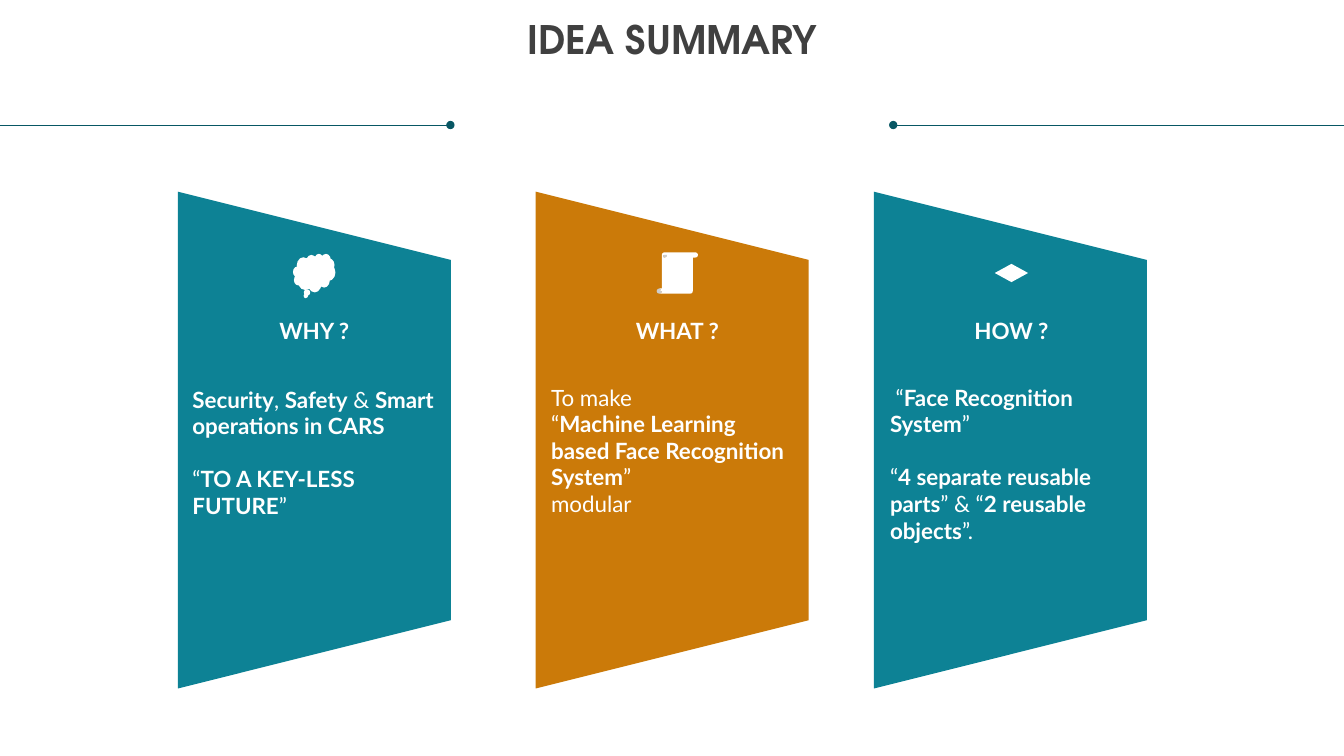
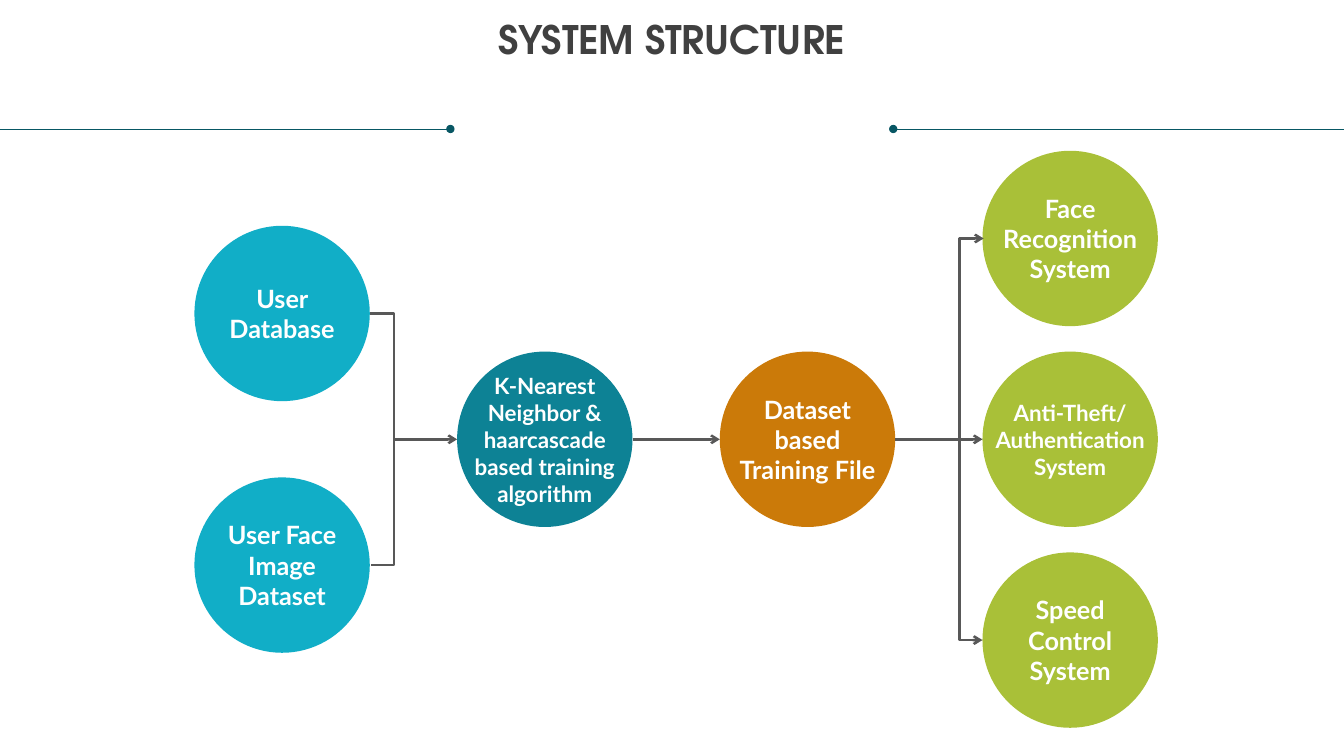
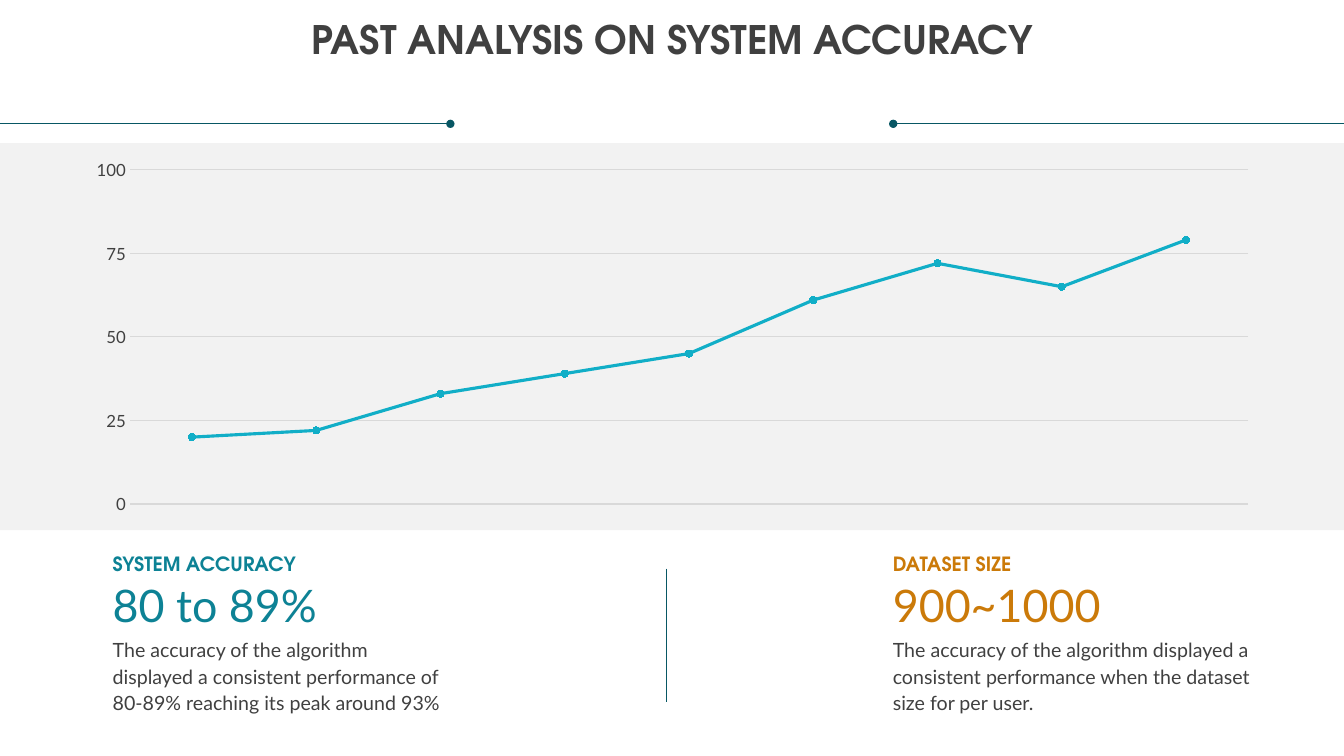
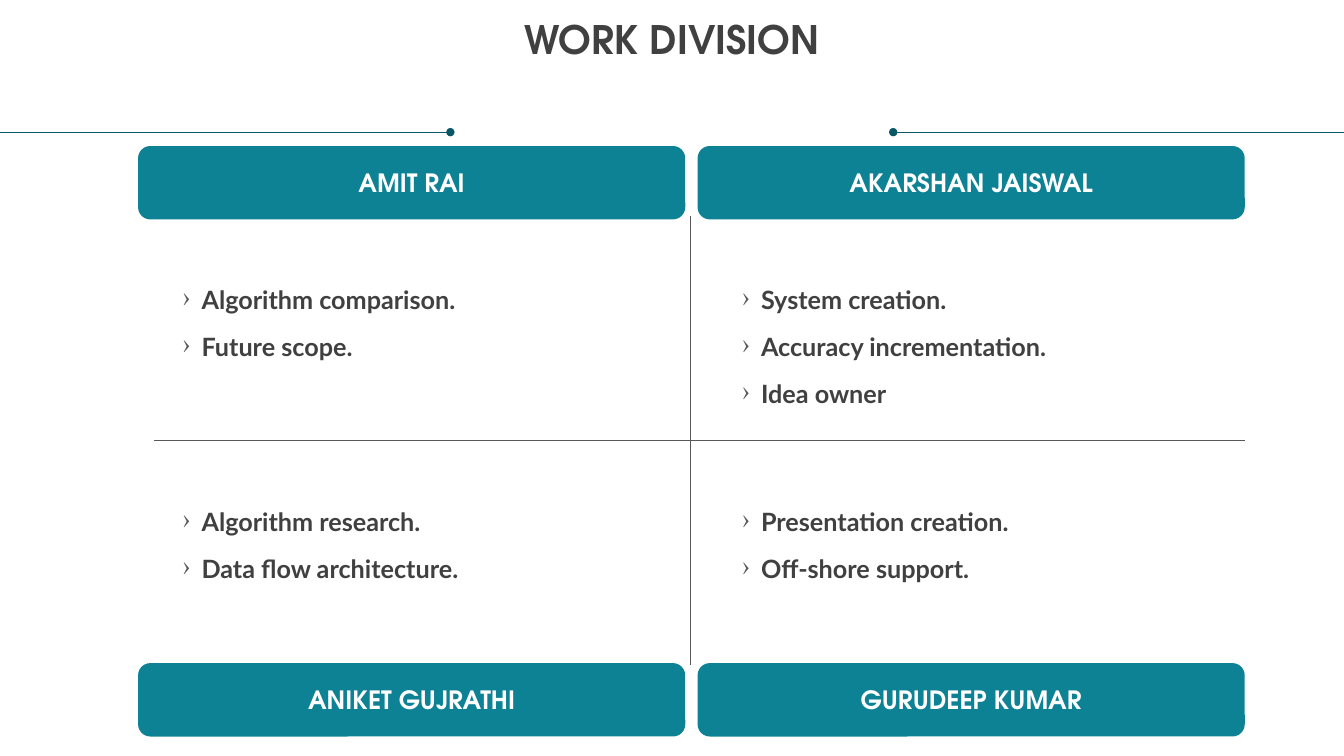
from lxml.etree import SubElement
from pptx import Presentation
from pptx.chart.data import CategoryChartData
from pptx.dml.color import RGBColor
from pptx.enum.chart import XL_CHART_TYPE, XL_MARKER_STYLE, XL_TICK_MARK
from pptx.enum.shapes import MSO_CONNECTOR, MSO_SHAPE
from pptx.enum.text import MSO_ANCHOR, MSO_AUTO_SIZE, PP_ALIGN
from pptx.oxml.ns import qn
from pptx.util import Cm, Pt

WHITE = RGBColor(0xFF, 0xFF, 0xFF)
INK = RGBColor(0x40, 0x40, 0x40)
GREY = RGBColor(0x58, 0x58, 0x58)
PALE = RGBColor(0xF2, 0xF2, 0xF2)
GRID = RGBColor(0xD9, 0xD9, 0xD9)
DARK_TEAL = RGBColor(0x08, 0x57, 0x64)
TEAL = RGBColor(0x0D, 0x82, 0x95)
CYAN = RGBColor(0x11, 0xAE, 0xC7)
ORANGE = RGBColor(0xCB, 0x7A, 0x09)
GREEN = RGBColor(0xA9, 0xC0, 0x38)

BODY = "Lato"
HEAD = "TeX Gyre Adventor"
WIDTH, HEIGHT = 33.87, 19.05


def write(tf, text, font=BODY, size=16, color=INK, bold=False, align=PP_ALIGN.LEFT,
          anchor=MSO_ANCHOR.TOP, spacing=None, before=0, bullet=None, margin=0):
    """Fill a text frame; each line is a paragraph and *stars* mark bold runs."""
    tf.word_wrap = True
    tf.auto_size = MSO_AUTO_SIZE.NONE
    tf.vertical_anchor = anchor
    tf.margin_left = tf.margin_right = tf.margin_top = tf.margin_bottom = Cm(margin)
    for i, line in enumerate(text.split("\n")):
        p = tf.add_paragraph() if i else tf.paragraphs[0]
        p.alignment = align
        if spacing:
            p.line_spacing = spacing
        p.space_before = Pt(before if i else 0)
        if bullet:
            pPr = p._p.get_or_add_pPr()
            pPr.set("marL", str(Cm(0.48)))
            pPr.set("indent", str(-Cm(0.48)))
            SubElement(SubElement(pPr, qn("a:buClr")), qn("a:srgbClr"), val=str(GREY))
            SubElement(pPr, qn("a:buChar"), char=bullet)
        for j, part in enumerate(line.split("*")):
            if part:
                r = p.add_run()
                r.text = part
                r.font.name = font
                r.font.size = Pt(size)
                r.font.bold = bold or j % 2 == 1
                r.font.color.rgb = color


class Deck:
    def __init__(self):
        self.prs = Presentation()
        self.prs.slide_width, self.prs.slide_height = Cm(WIDTH), Cm(HEIGHT)
        self.s = None

    def slide(self, title, rule_y):
        self.s = self.prs.slides.add_slide(self.prs.slide_layouts[5])
        sp = self.s.shapes.title
        sp.left, sp.top, sp.width, sp.height = Cm(0.64), Cm(0.53), Cm(32.59), Cm(2.16)
        write(sp.text_frame, title, font=HEAD, size=28, bold=True,
              align=PP_ALIGN.CENTER, spacing=0.9)
        self.line(0, rule_y, 11.35, rule_y, tail="oval")
        self.line(22.51, rule_y, WIDTH, rule_y, head="oval")

    def shape(self, kind, x, y, w, h, fill, rotation=0):
        sp = self.s.shapes.add_shape(kind, Cm(x), Cm(y), Cm(w), Cm(h))
        sp.shadow.inherit = False
        sp.fill.solid()
        sp.fill.fore_color.rgb = fill
        sp.line.fill.background()
        sp.rotation = rotation
        return sp

    def text(self, text, x, y, w, h, **style):
        sp = self.s.shapes.add_textbox(Cm(x), Cm(y), Cm(w), Cm(h))
        write(sp.text_frame, text, **style)

    def line(self, x1, y1, x2, y2, color=DARK_TEAL, width=0.5, head=None, tail=None,
             via=None):
        kind = MSO_CONNECTOR.STRAIGHT if via is None else MSO_CONNECTOR.ELBOW
        c = self.s.shapes.add_connector(kind, Cm(x1), Cm(y1), Cm(x2), Cm(y2))
        c.line.color.rgb = color
        c.line.width = Pt(width)
        spPr = c._element.spPr
        ln = spPr.find(qn("a:ln"))
        for tag, end in (("a:headEnd", head), ("a:tailEnd", tail)):
            if end:
                SubElement(ln, qn(tag), type=end)
        SubElement(spPr, qn("a:effectLst"))
        if via is not None:
            geom = spPr.find(qn("a:prstGeom"))
            guides = geom.find(qn("a:avLst"))
            if guides is None:
                guides = SubElement(geom, qn("a:avLst"))
            bend = round((via - x1) / (x2 - x1) * 100000)
            SubElement(guides, qn("a:gd"), name="adj1", fmla=f"val {bend}")

    def line_chart(self, x, y, w, h, values):
        data = CategoryChartData()
        data.categories = [str(i + 1) for i in range(len(values))]
        data.add_series("Series 1", values)
        chart = self.s.shapes.add_chart(XL_CHART_TYPE.LINE_MARKERS, Cm(x), Cm(y),
                                        Cm(w), Cm(h), data).chart
        chart.has_legend = chart.has_title = False
        chart.font.name, chart.font.size = BODY, Pt(10)
        chart.category_axis.visible = False
        axis = chart.value_axis
        axis.minimum_scale, axis.maximum_scale, axis.major_unit = 0, 100, 25
        axis.major_tick_mark = axis.minor_tick_mark = XL_TICK_MARK.NONE
        axis.format.line.fill.background()
        font = axis.tick_labels.font
        font.name, font.size, font.color.rgb = BODY, Pt(12), INK
        grid = axis.major_gridlines.format.line
        grid.color.rgb, grid.width = GRID, Pt(0.75)
        chart.plots[0].vary_by_categories = False
        series = chart.plots[0].series[0]
        series.smooth = False
        series.format.line.color.rgb = CYAN
        series.format.line.width = Pt(2.25)
        marker = series.marker
        marker.style, marker.size = XL_MARKER_STYLE.CIRCLE, 5
        marker.format.fill.solid()
        marker.format.fill.fore_color.rgb = CYAN
        marker.format.line.color.rgb = CYAN


def idea_summary(deck):
    deck.slide("IDEA SUMMARY", 3.15)
    length, depth, middle = 12.52, 6.88, 11.09
    cards = (
        (4.48, 7.92, TEAL, MSO_SHAPE.CLOUD_CALLOUT, 1.07, 0.97, "WHY ?", 4.85, 9.73,
         "*Security*, *Safety* & *Smart operations in CARS*\n“*TO A KEY-LESS FUTURE*”", 19),
        (13.5, 17.07, ORANGE, MSO_SHAPE.VERTICAL_SCROLL, 1.04, 1.04, "WHAT ?", 13.89, 9.68,
         "To make\n“*Machine Learning based Face Recognition System*”\nmodular", 0),
        (22.02, 25.49, TEAL, MSO_SHAPE.FLOWCHART_DECISION, 0.84, 0.46, "HOW ?", 22.43, 9.68,
         " “*Face Recognition System*”\n"
         "“*4 separate reusable parts*” & “*2 reusable objects*”.", 19),
    )
    for left, centre, fill, icon, w, h, heading, x, y, body, gap in cards:
        deck.shape(MSO_SHAPE.TRAPEZOID, left + (depth - length) / 2, middle - depth / 2,
                   length, depth, fill, rotation=90)
        deck.shape(icon, centre - w / 2, 6.88 - h / 2, w, h, WHITE)
        deck.text(heading, centre - 1.9, 8, 3.8, 0.69, color=WHITE, bold=True,
                  align=PP_ALIGN.CENTER)
        deck.text(body, x, y, 6.2, 4.06, color=WHITE, spacing=Pt(19), before=gap)


def system_structure(deck):
    deck.slide("SYSTEM STRUCTURE", 3.25)
    size, middle = 4.42, 11.07
    columns = [4.9 + 6.62 * i for i in range(4)]
    source_rows = (middle - 3.17, middle + 3.17)
    output_rows = (middle - 5.06, middle, middle + 5.06)
    nodes = (
        (0, source_rows[0], CYAN, "User Database", 18, 2),
        (0, source_rows[1], CYAN, "User Face Image Dataset", 18, 3),
        (1, middle, TEAL,
         "K-Nearest Neighbor & haarcascade based training\nalgorithm", 16, 5),
        (2, middle, ORANGE, "Dataset based Training File", 18, 3),
        (3, output_rows[0], GREEN, "Face Recognition\nSystem", 18, 3),
        (3, output_rows[1], GREEN, "Anti-Theft/ Authentication System", 16, 3),
        (3, output_rows[2], GREEN, "Speed Control System", 18, 3),
    )
    for column, row, fill, label, points, lines in nodes:
        x = columns[column]
        deck.shape(MSO_SHAPE.OVAL, x, row - size / 2, size, size, fill)
        h = Pt(points * 1.2 * lines).cm
        deck.text(label, x + size / 2 - 1.9, row - h / 2, 3.8, h, size=points, color=WHITE,
                  bold=True, align=PP_ALIGN.CENTER, anchor=MSO_ANCHOR.MIDDLE)

    style = dict(color=GREY, width=1.75)
    source_side, output_side = columns[0] + size, columns[3]
    trunk = source_side + 0.61
    deck.line(source_side, source_rows[0], source_side + 0.03, source_rows[1],
              via=trunk, **style)
    deck.line(output_side + 0.03, output_rows[0], output_side, output_rows[2],
              via=output_side - 0.58, head="arrow", tail="arrow", **style)
    starts = (trunk, columns[1] + size, columns[2] + size)
    for start, end in zip(starts, columns[1:]):
        deck.line(start, middle, end, middle, tail="arrow", **style)


def past_analysis(deck):
    deck.slide("PAST ANALYSIS ON SYSTEM ACCURACY", 3.12)
    deck.shape(MSO_SHAPE.RECTANGLE, 0, 3.61, WIDTH, 9.75, PALE)
    deck.line_chart(1.83, 3.84, 30.23, 9.3, (20, 22, 33, 39, 45, 61, 72, 65, 79))
    deck.line(16.79, 14.33, 16.79, 17.68)
    facts = (
        (2.84, 8.51, TEAL, "SYSTEM ACCURACY", "80 to 89%",
         "The accuracy of the algorithm displayed a consistent performance of "
         "80-89% reaching its peak around 93%"),
        (22.5, 9.53, ORANGE, "DATASET SIZE", "900~1000",
         "The accuracy of the algorithm displayed a consistent performance when "
         "the dataset size for per user."),
    )
    for x, w, color, heading, figure, detail in facts:
        deck.text(heading, x, 13.84, w, 0.67, font=HEAD, size=14, color=color, bold=True,
                  spacing=Pt(19))
        deck.text(figure, x, 14.55, w, 1.37, size=32, color=color)
        deck.text(detail, x, 16, w, 2.03, size=14, spacing=Pt(19))


def work_division(deck):
    deck.slide("WORK DIVISION", 3.33)
    deck.line(3.89, 11.1, 31.37, 11.1, color=GREY)
    deck.line(17.4, 5.44, 17.4, 16.76, color=GREY)
    members = (
        ("AMIT RAI", "Algorithm comparison.\nFuture scope."),
        ("AKARSHAN JAISWAL", "System creation.\nAccuracy incrementation.\nIdea owner"),
        ("ANIKET GUJRATHI", "Algorithm research.\nData flow architecture."),
        ("GURUDEEP KUMAR", "Presentation creation.\nOff-shore support."),
    )
    for i, (name, tasks) in enumerate(members):
        row, column = divmod(i, 2)
        x = 3.48 + 14.1 * column
        sp = deck.shape(MSO_SHAPE.ROUNDED_RECTANGLE, x, (3.68, 16.71)[row], 13.79, 1.85, TEAL)
        write(sp.text_frame, name, font=HEAD, size=18, color=WHITE, bold=True,
              align=PP_ALIGN.CENTER, anchor=MSO_ANCHOR.MIDDLE, margin=0.13)
        deck.text(tasks, x + 1.12, (7.16, 12.76)[row], 11.56, 3.18, size=18, bold=True,
                  before=12, bullet="›")


def main():
    deck = Deck()
    for build in (idea_summary, system_structure, past_analysis, work_division):
        build(deck)
    deck.prs.save("out.pptx")


if __name__ == "__main__":
    main()
